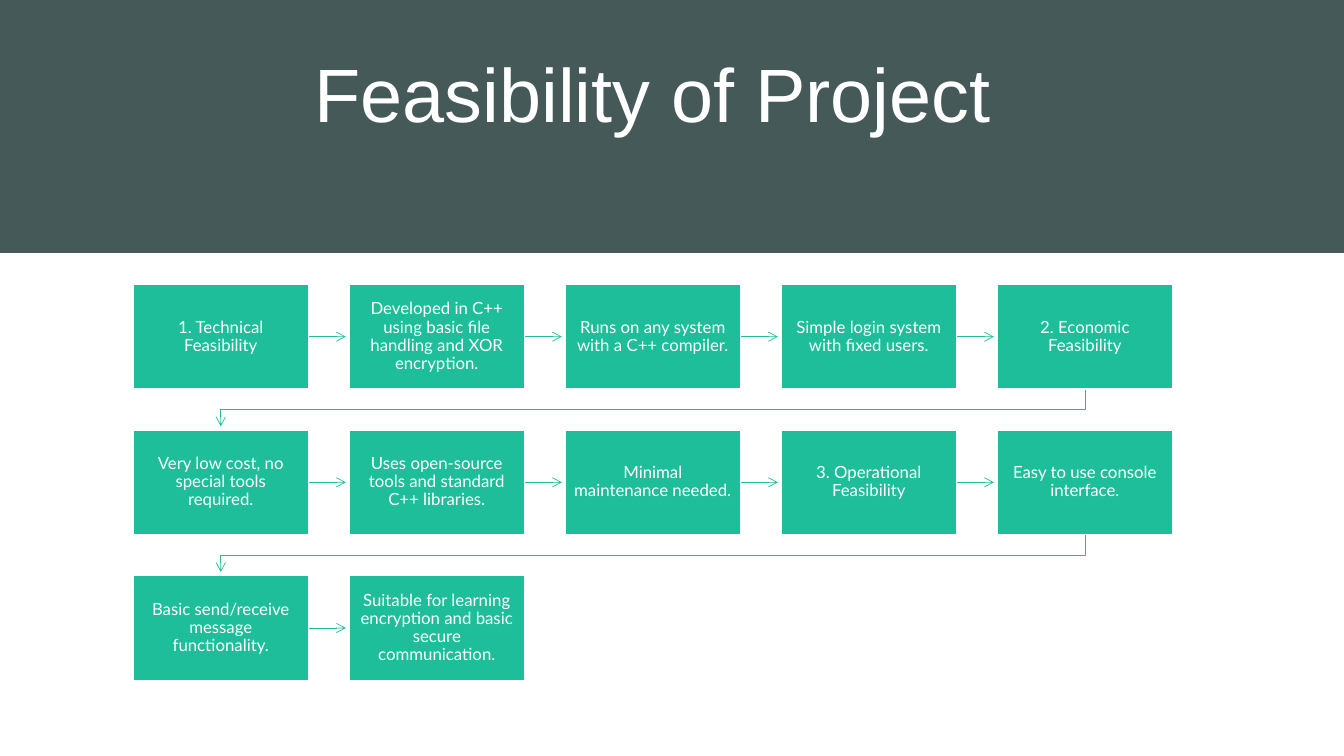
from lxml.etree import SubElement
from pptx import Presentation
from pptx.dml.color import RGBColor
from pptx.enum.shapes import MSO_CONNECTOR, MSO_SHAPE
from pptx.enum.text import MSO_ANCHOR, PP_ALIGN
from pptx.oxml.ns import qn
from pptx.util import Inches, Pt

COLORS = {"band": "465959", "step": "1EBE9B", "white": "FFFFFF"}
STEPS = [
    "1. Technical Feasibility",
    "Developed in C++ using basic file handling and XOR encryption.",
    "Runs on any system with a C++ compiler.",
    "Simple login system with fixed users.",
    "2. Economic Feasibility",
    "Very low cost, no special tools required.",
    "Uses open-source tools and standard C++ libraries.",
    "Minimal maintenance needed.",
    "3. Operational Feasibility",
    "Easy to use console interface.",
    "Basic send/receive message functionality.",
    "Suitable for learning encryption and basic secure communication.",
]
COLUMNS, ROWS = 5, 3
STEP_WIDTH, STEP_HEIGHT = 1.74, 1.04
ARROW_LENGTH, ELBOW_DROP = 0.37, 0.2


def color(name):
    return RGBColor.from_string(COLORS[name])


def add_rectangle(page, left, top, width, height, fill):
    shape = page.shapes.add_shape(
        MSO_SHAPE.RECTANGLE, Inches(left), Inches(top), Inches(width), Inches(height))
    shape.shadow.inherit = False
    shape.fill.solid()
    shape.fill.fore_color.rgb = color(fill)
    shape.line.fill.background()
    return shape


def write_text(frame, text, font, size, anchor, inset):
    frame.word_wrap = True
    frame.vertical_anchor = anchor
    frame.margin_left = frame.margin_right = Inches(0.09)
    frame.margin_top = frame.margin_bottom = Inches(inset)
    para = frame.paragraphs[0]
    para.text = text
    para.alignment = PP_ALIGN.CENTER
    para.font.name = font
    para.font.size = Pt(size)
    para.font.color.rgb = color("white")
    return para


def add_header(page, left, top, width, height):
    add_rectangle(page, left, top, width, height, "band")
    title = page.shapes.add_textbox(
        Inches(left + 0.53), Inches(top + 0.4), Inches(11.89), Inches(1.85))
    write_text(title.text_frame, "Feasibility of Project", "Arial", 54, MSO_ANCHOR.TOP, 0.07)


def style_arrow(arrow):
    arrow.line.color.rgb = color("step")
    arrow.line.width = Pt(0.5)
    SubElement(arrow.line._get_or_add_ln(), qn("a:tailEnd"), type="arrow")


def add_straight_arrow(page, left, middle):
    arrow = page.shapes.add_connector(
        MSO_CONNECTOR.STRAIGHT, Inches(left), Inches(middle),
        Inches(left + ARROW_LENGTH), Inches(middle))
    style_arrow(arrow)
    SubElement(arrow._element.spPr, qn("a:effectLst"))


def add_return_arrow(page, start, end, top):
    turn = top + ELBOW_DROP
    points = [(start, turn), (end, turn), (end, top + ARROW_LENGTH)]
    builder = page.shapes.build_freeform(Inches(start), Inches(top))
    builder.add_line_segments([(Inches(x), Inches(y)) for x, y in points], close=False)
    arrow = builder.convert_to_shape()
    arrow.fill.background()
    style_arrow(arrow)
    arrow.shadow.inherit = False


def add_step(page, left, top, text):
    step = add_rectangle(page, left, top, STEP_WIDTH, STEP_HEIGHT, "step")
    step.line.color.rgb = color("white")
    step.line.width = Pt(1)
    para = write_text(step.text_frame, text, "Lato", 12, MSO_ANCHOR.MIDDLE, 0.09)
    para.line_spacing = 0.9


def add_process(page, left, top, width, height):
    column_pitch = (width - STEP_WIDTH) / (COLUMNS - 1)
    row_pitch = (height - STEP_HEIGHT) / (ROWS - 1)
    for index, text in enumerate(STEPS):
        row, column = divmod(index, COLUMNS)
        x = left + column * column_pitch
        y = top + row * row_pitch
        if column == COLUMNS - 1:
            add_return_arrow(page, x + STEP_WIDTH / 2, left + STEP_WIDTH / 2, y + STEP_HEIGHT)
        elif index < len(STEPS) - 1:
            add_straight_arrow(page, x + STEP_WIDTH, y + STEP_HEIGHT / 2)
        add_step(page, x, y, text)


def main():
    deck = Presentation()
    deck.slide_width = Inches(13.33)
    deck.slide_height = Inches(7.5)
    page = deck.slides.add_slide(deck.slide_layouts[6])
    add_header(page, 0, 0, 13.33, 2.51)
    add_process(page, 1.32, 2.82, 10.31, 3.93)
    deck.save("out.pptx")


if __name__ == "__main__":
    main()
